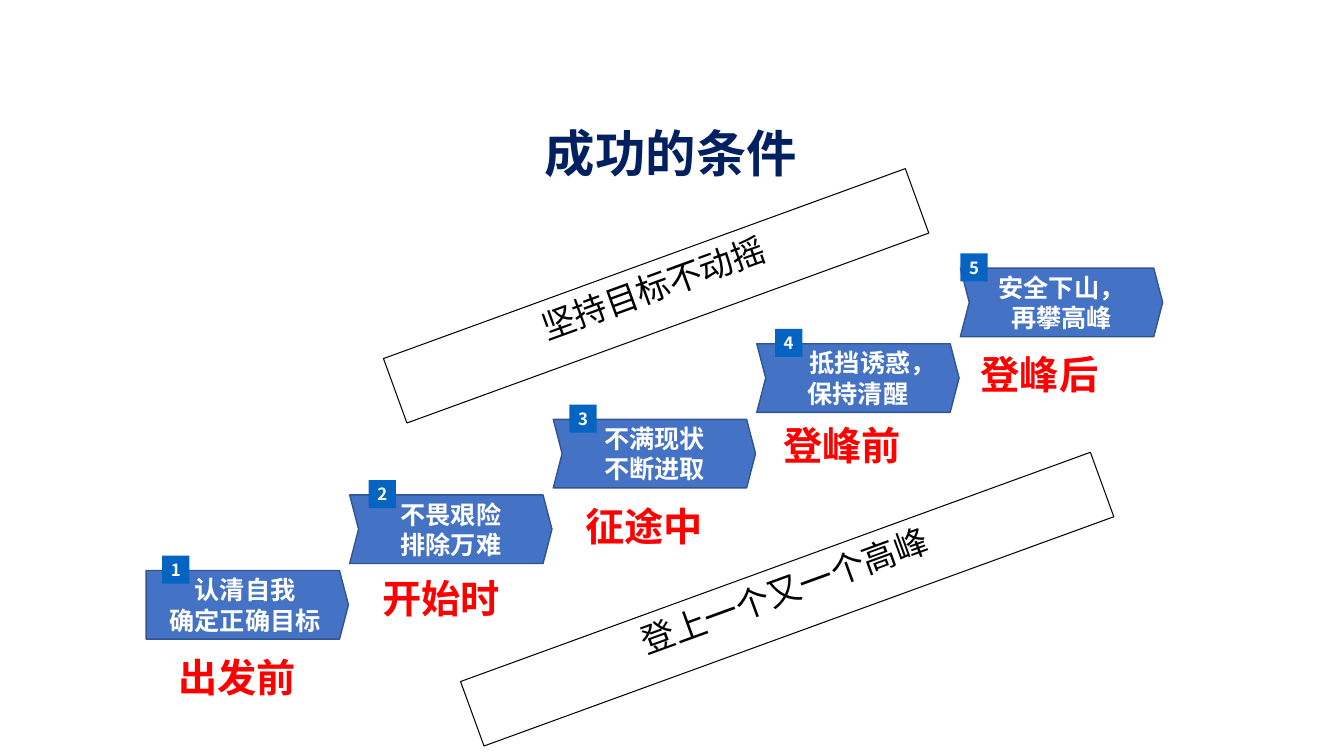
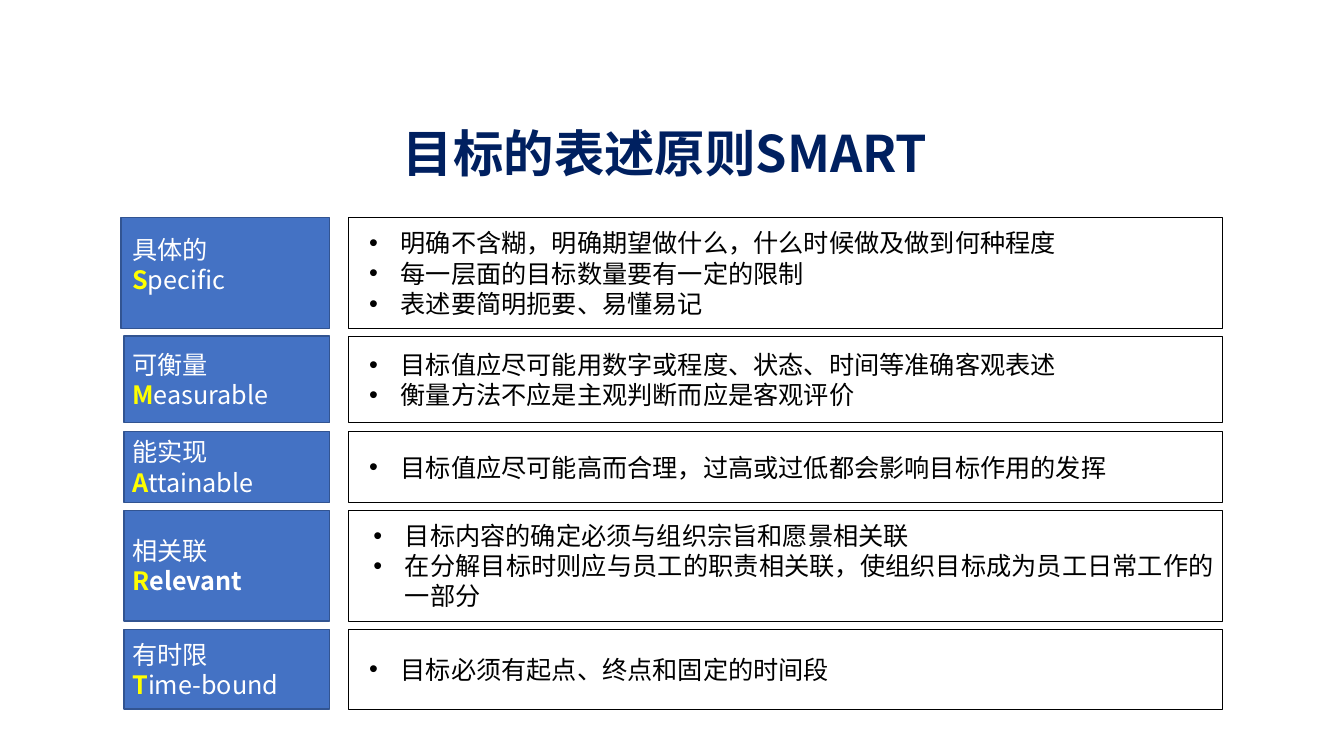
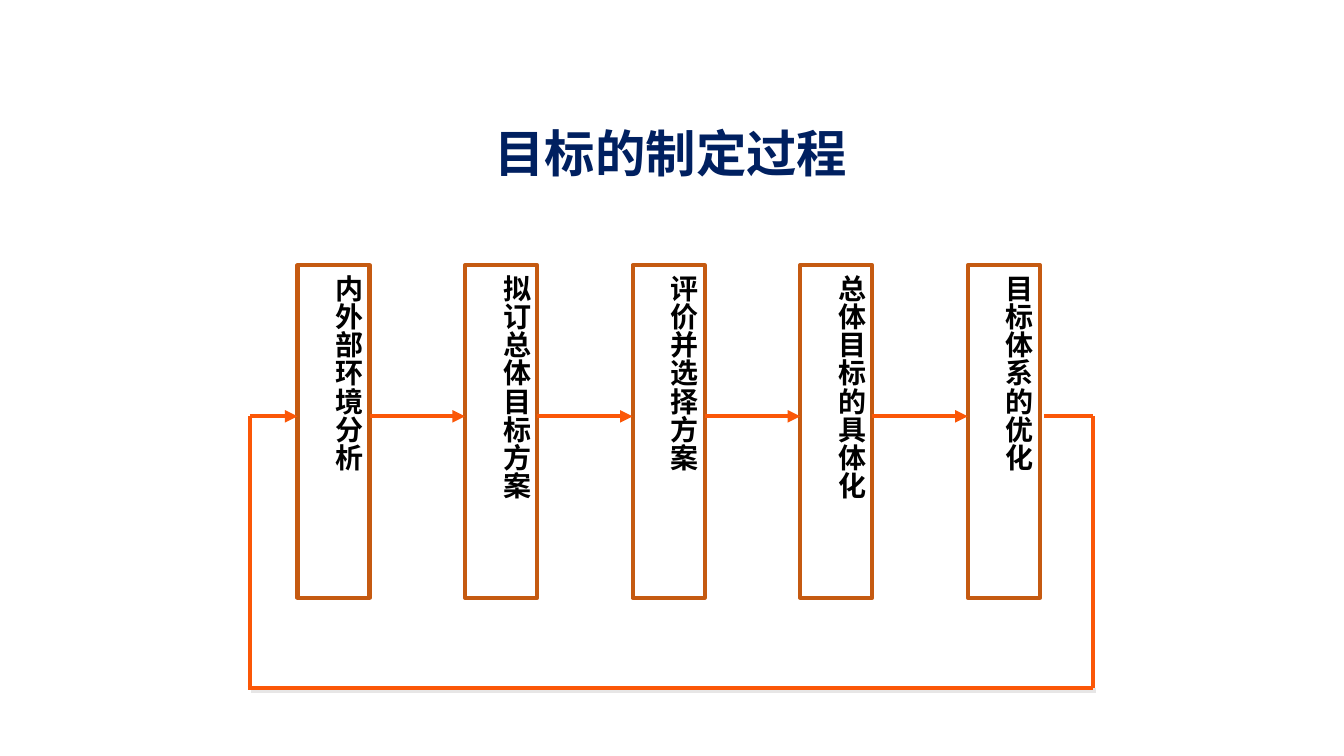
from pptx import Presentation
from pptx.dml.color import RGBColor
from pptx.enum.shapes import MSO_CONNECTOR, MSO_SHAPE
from pptx.enum.text import MSO_ANCHOR, MSO_AUTO_SIZE, PP_ALIGN
from pptx.oxml.ns import qn
from pptx.util import Pt
from lxml.etree import SubElement

# Shared style
FONT = "Noto Sans CJK SC"
NAVY, BLUE, BLUE_EDGE, BADGE_BLUE = "002060", "4472C4", "325491", "0563C1"
RED, YELLOW, BROWN, ORANGE = "FF0000", "FFFF00", "C55A11", "FB5707"
BLACK, WHITE, GREY = "000000", "FFFFFF", "E7E6E6"
color = RGBColor.from_string


def write(shape, lines, size, ink, bold=False, align=PP_ALIGN.CENTER,
          anchor=MSO_ANCHOR.MIDDLE, insets=(0, 0, 0, 0), bullets=False):
    """Fill a shape with one paragraph per line; insets run left, top, right, bottom."""
    frame = shape.text_frame
    frame.word_wrap = True
    frame.auto_size = MSO_AUTO_SIZE.NONE
    frame.vertical_anchor = anchor
    frame.margin_left, frame.margin_top, frame.margin_right, frame.margin_bottom = map(Pt, insets)
    frame.text = "\n".join(lines)
    for paragraph in frame.paragraphs:
        paragraph.alignment = align
        if bullets:
            properties = paragraph._p.get_or_add_pPr()
            properties.set("marL", str(Pt(30)))
            properties.set("indent", str(Pt(-22.5)))
            SubElement(properties, qn("a:buFont")).set("typeface", "Arial")
            SubElement(properties, qn("a:buChar")).set("char", "•")
        font = paragraph.font
        font.size, font.bold, font.name = Pt(size), bold, FONT
        font.color.rgb = color(ink)
        SubElement(font._element, qn("a:ea")).set("typeface", FONT)


def add_box(slide, preset, left, top, width, height, fill=None, edge=None, weight=1):
    """Add a flat preset shape; no fill or edge colour means none is drawn."""
    shape = slide.shapes.add_shape(preset, Pt(left), Pt(top), Pt(width), Pt(height))
    shape.shadow.inherit = False
    if fill:
        shape.fill.solid()
        shape.fill.fore_color.rgb = color(fill)
    else:
        shape.fill.background()
    if edge:
        shape.line.color.rgb = color(edge)
        shape.line.width = Pt(weight)
    else:
        shape.line.fill.background()
    return shape


presentation = Presentation()
presentation.slide_width, presentation.slide_height = Pt(960), Pt(540)

# Slides with their titles
slides = []
for heading in ["成功的条件", "目标的表述原则SMART ", "目标的制定过程"]:
    slide = presentation.slides.add_slide(presentation.slide_layouts[5])
    title = slide.shapes.title
    title.left, title.top, title.width, title.height = Pt(135.4), Pt(83), Pt(687.6), Pt(51)
    write(title, [heading], 36, NAVY, bold=True, insets=(7.2, 3.6, 7.2, 3.6))
    slides.append(slide)
conditions, principles, process = slides

# Slide 1: slanted banners
for text, center_x, center_y, width in [("坚持目标不动摇", 468.7, 211.3, 396.7),
                                        ("登上一个又一个高峰", 562.3, 428, 478.8)]:
    banner = add_box(conditions, MSO_SHAPE.RECTANGLE, center_x - width / 2, center_y - 24.5,
                     width, 49, edge=BLACK, weight=0.75)
    banner.rotation = -20
    write(banner, [text], 24, BLACK, anchor=MSO_ANCHOR.TOP, insets=(7.2, 3.6, 7.2, 3.6))

# Slide 1: rising steps, each with a numbered badge and a stage name
steps = [  # lines, badge offset, stage, stage left, stage top
    (["认清自我", "确定正确目标"], 11.5, "出发前", 127.4, 466.5),
    (["不畏艰险", "排除万难"], 13.5, "开始时", 272.9, 410.5),
    (["不满现状", "不断进取"], 11.5, "征途中", 418.3, 358.5),
    (["抵挡诱惑，", "保持清醒"], 13, "登峰前", 559.4, 301),
    (["安全下山，", "再攀高峰"], 0, "登峰后", 700.6, 250),
]
for index, (lines, badge_offset, stage, stage_left, stage_top) in enumerate(steps):
    left, top = 104.4 + 145.4 * index, 407.5 - 54 * index
    preset = MSO_SHAPE.CHEVRON if index else MSO_SHAPE.PENTAGON
    step = add_box(conditions, preset, left, top, 144.5, 49, BLUE, BLUE_EDGE)
    step.adjustments[0] = 0.13
    write(step, lines, 18, WHITE, bold=True)
    if stage == "登峰前":
        step.text_frame.paragraphs[0]._p.get_or_add_pPr().set("marL", str(Pt(21)))

    badge = add_box(conditions, MSO_SHAPE.RECTANGLE, left + badge_offset, top - 10.5,
                    19.5, 20, BADGE_BLUE)
    write(badge, [str(index + 1)], 12, WHITE, bold=True)

    label = conditions.shapes.add_textbox(Pt(stage_left), Pt(stage_top), Pt(112), Pt(40))
    write(label, [stage], 28, RED, bold=True, align=PP_ALIGN.LEFT, anchor=MSO_ANCHOR.TOP)

# Slide 2: one row per SMART letter
rows = [  # top, height, name, word, label lift, list inset, points
    (155.5, 79, "具体的", "Specific", 12, 7,
     ["明确不含糊，明确期望做什么，什么时候做及做到何种程度",
      "每一层面的目标数量要有一定的限制",
      "表述要简明扼要、易懂易记"]),
    (240, 62, "可衡量", "Measurable", 0, 7,
     ["目标值应尽可能用数字或程度、状态、时间等准确客观表述",
      "衡量方法不应是主观判断而应是客观评价"]),
    (308, 51, "能实现", "Attainable", 0, 7,
     ["目标值应尽可能高而合理，过高或过低都会影响目标作用的发挥"]),
    (364.5, 79, "相关联", "Relevant", 0, 10,
     ["目标内容的确定必须与组织宗旨和愿景相关联",
      "在分解目标时则应与员工的职责相关联，使组织目标成为员工日常工作的一部分"]),
    (449.5, 57, "有时限", "Time-bound", 0, 7,
     ["目标必须有起点、终点和固定的时间段"]),
]
for index, (top, height, name, word, lift, list_inset, points) in enumerate(rows):
    details = add_box(principles, MSO_SHAPE.RECTANGLE, 249.2, top, 624.2, height,
                      edge=BLACK, weight=0.5)
    write(details, points, 18, BLACK, align=PP_ALIGN.JUSTIFY,
          insets=(list_inset, 0, 6, 0), bullets=True)

    left = 88.5 if index else 86.5
    label = add_box(principles, MSO_SHAPE.RECTANGLE, left, top, 235.5 - left, height,
                    BLUE, BLUE_EDGE)
    write(label, [name, word[0]], 18, WHITE, align=PP_ALIGN.LEFT,
          insets=(94.5 - left, 0, 0, lift))
    word_line = label.text_frame.paragraphs[1]
    initial = word_line.runs[0]
    initial.font.bold = True
    initial.font.color.rgb = color(YELLOW)
    ending = word_line.add_run()
    ending.text = word[1:]
    ending.font.bold = word == "Relevant"

# Slide 3: stages with vertical text
stage_left, stage_gap, stage_width, middle = 212.5, 119.7, 51.5, 297.4
stages = ["内外部环境分析", "拟订总体目标方案", "评价并选择方案", "总体目标的具体化", "目标体系的优化"]
for index, text in enumerate(stages):
    stage = add_box(process, MSO_SHAPE.RECTANGLE, stage_left + stage_gap * index, 189.5,
                    stage_width, 237.5, WHITE, BROWN, 3)
    write(stage, [text], 20, BLACK, bold=True, align=PP_ALIGN.LEFT,
          anchor=MSO_ANCHOR.TOP, insets=(3, 3.6, 3, 3.6))
    stage.text_frame._txBody.bodyPr.set("vert", "eaVert")

# Slide 3: arrows between stages and the feedback loop
loop_left, loop_right, loop_bottom = 178.5, 781, 491.2
links = [  # start x, start y, end x, end y, arrowhead, shadow
    (stage_left + stage_gap * index + stage_width, middle,
     stage_left + stage_gap * (index + 1), middle, True, False)
    for index in range(len(stages) - 1)
] + [
    (746, middle, loop_right, middle, False, False),
    (loop_right, middle, loop_right, loop_bottom, False, False),
    (loop_left, loop_bottom, loop_left, middle, False, False),
    (loop_left, middle, stage_left, middle, True, False),
    (loop_left - 1.5, loop_bottom, loop_right, loop_bottom, False, True),
]
for start_x, start_y, end_x, end_y, arrowhead, shadow in links:
    link = process.shapes.add_connector(MSO_CONNECTOR.STRAIGHT, Pt(start_x), Pt(start_y),
                                        Pt(end_x), Pt(end_y))
    link.line.color.rgb = color(ORANGE)
    link.line.width = Pt(3)
    if arrowhead:
        SubElement(link.line._get_or_add_ln(), qn("a:tailEnd")).set("type", "triangle")
    effects = SubElement(link._element.spPr, qn("a:effectLst"))
    if shadow:
        outer = SubElement(effects, qn("a:outerShdw"), dist=str(Pt(2.8)), dir="2700000")
        SubElement(outer, qn("a:srgbClr")).set("val", GREY)

presentation.save("out.pptx")
